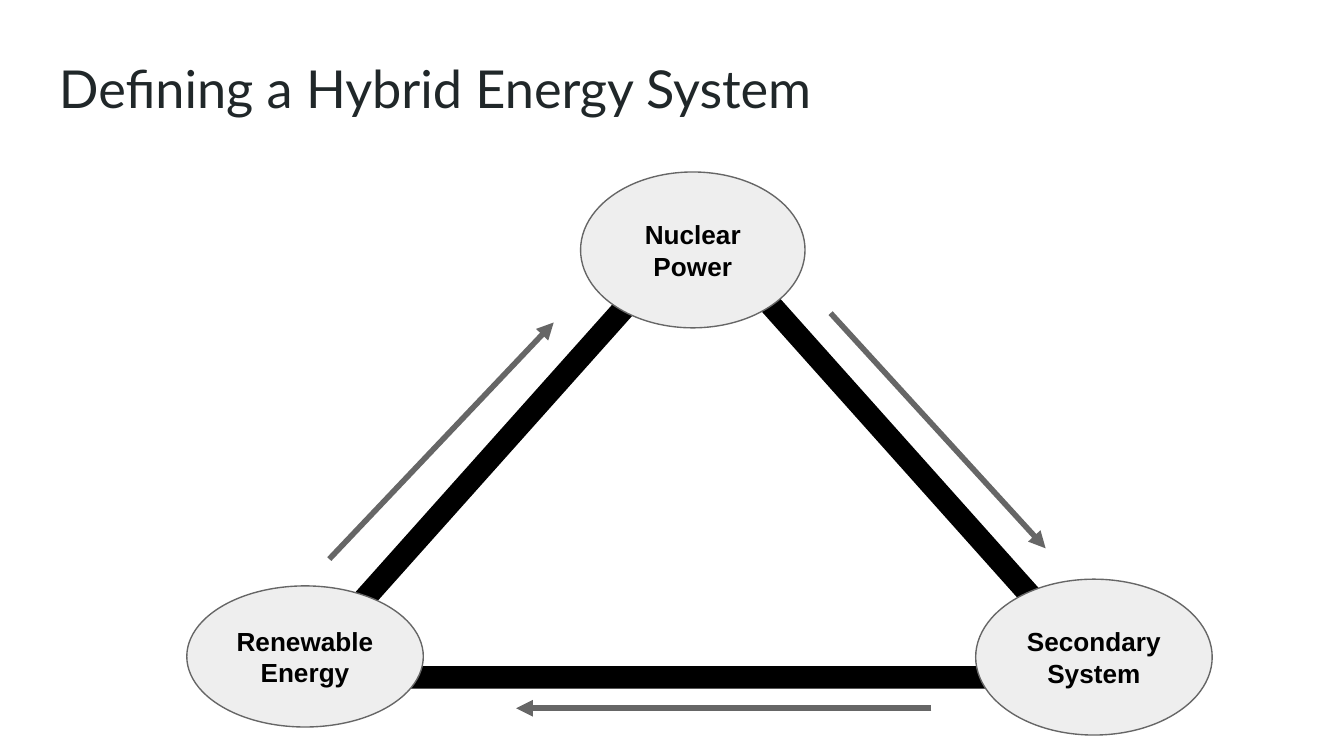
import pptx
import pptx.util
from lxml import etree
from pptx.dml.color import RGBColor
from pptx.enum.shapes import MSO_CONNECTOR, MSO_SHAPE
from pptx.enum.text import MSO_ANCHOR, PP_ALIGN
from pptx.oxml.ns import qn

INK = RGBColor(0x20, 0x27, 0x29)
BLACK = RGBColor(0x00, 0x00, 0x00)
GREY = RGBColor(0x66, 0x66, 0x66)
PALE = RGBColor(0xEE, 0xEE, 0xEE)

SLIDE_SIZE = (10, 10 * 9 / 16)
TITLE = "Defining a Hybrid Energy System"
TITLE_BOX = (0.34, 0.32, 9.32, 0.88)
TRIANGLE_BOX = (2.19, 1.67, 6.02, 3.37)
# label, (left, top, width, height) in inches
NODES = [
    ("Nuclear Power", (4.32, 1.28, 1.67, 1.16)),
    ("Secondary System", (7.26, 4.31, 1.76, 1.16)),
    ("Renewable Energy", (1.39, 4.36, 1.76, 1.05)),
]
# start point, end point in inches
FLOWS = [
    ((6.18, 2.33), (7.78, 4.08)),
    ((2.45, 4.16), (4.12, 2.4)),
    ((6.93, 5.27), (3.84, 5.27)),
]


def inches(values):
    return [pptx.util.Inches(value) for value in values]


def write_text(shape, text, *, font, size, color, bold=False,
               align=PP_ALIGN.LEFT, anchor=MSO_ANCHOR.TOP):
    frame = shape.text_frame
    frame.word_wrap = True
    frame.vertical_anchor = anchor
    frame.margin_left = frame.margin_right = pptx.util.Inches(0.1)
    frame.margin_top = frame.margin_bottom = pptx.util.Inches(0.1)
    paragraph = frame.paragraphs[0]
    paragraph.alignment = align
    run = paragraph.add_run()
    run.text = text
    run.font.name = font
    run.font.size = pptx.util.Pt(size)
    run.font.bold = bold
    run.font.color.rgb = color


def add_outlined(slide, kind, box, line_color, line_width, fill=None):
    shape = slide.shapes.add_shape(kind, *inches(box))
    shape.shadow.inherit = False
    if fill is None:
        shape.fill.background()
    else:
        shape.fill.solid()
        shape.fill.fore_color.rgb = fill
    shape.line.color.rgb = line_color
    shape.line.width = pptx.util.Pt(line_width)
    return shape


def add_arrow(slide, start, end):
    connector = slide.shapes.add_connector(
        MSO_CONNECTOR.STRAIGHT, *inches(start + end))
    connector.line.color.rgb = GREY
    connector.line.width = pptx.util.Pt(3)
    properties = connector._element.spPr
    etree.SubElement(properties.find(qn("a:ln")), qn("a:tailEnd"),
                     type="triangle")
    etree.SubElement(properties, qn("a:effectLst"))


def main():
    presentation = pptx.Presentation()
    presentation.slide_width, presentation.slide_height = inches(SLIDE_SIZE)
    slide = presentation.slides.add_slide(presentation.slide_layouts[6])

    title = slide.shapes.add_textbox(*inches(TITLE_BOX))
    write_text(title, TITLE, font="Lato", size=28, color=INK)

    add_outlined(slide, MSO_SHAPE.ISOSCELES_TRIANGLE, TRIANGLE_BOX, BLACK, 12)
    for label, box in NODES:
        node = add_outlined(slide, MSO_SHAPE.OVAL, box, GREY, 0.75, fill=PALE)
        write_text(node, label, font="Arial", size=14, color=BLACK, bold=True,
                   align=PP_ALIGN.CENTER, anchor=MSO_ANCHOR.MIDDLE)
    for start, end in FLOWS:
        add_arrow(slide, start, end)

    presentation.save("out.pptx")


if __name__ == "__main__":
    main()
